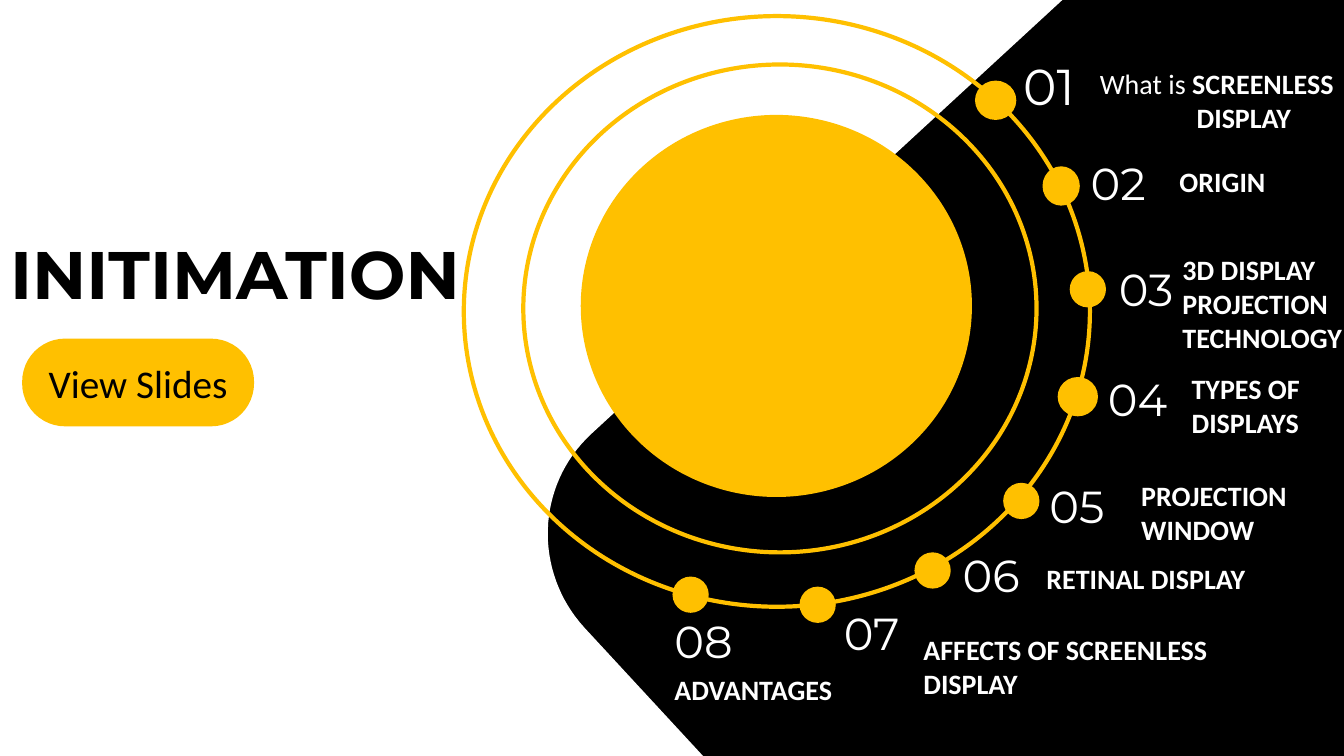
from pptx import Presentation
from pptx.dml.color import RGBColor
from pptx.enum.shapes import MSO_SHAPE
from pptx.enum.text import MSO_ANCHOR, MSO_AUTO_SIZE, PP_ALIGN
from pptx.util import Inches, Pt

COLORS = {"black": "000000", "white": "FFFFFF", "gold": "FFC000"}
BODY_FONT = "Calibri"
DISPLAY_FONT = "Montserrat"

# Discs and rings: left, top, width, height
DISC = (5.76, 1.14, 3.88, 3.79)
RINGS = [(5.19, 0.64, 5.09, 4.84), (4.6, 0.16, 6.21, 5.86)]

# Agenda: dot box, number box, label box, label lines
AGENDA = [
    ((9.67, 0.8, 0.41, 0.39), (10.05, 0.5, 1.39, 0.71),
     (10.81, 0.61, 2.69, 0.77), ["What is |SCREENLESS", "DISPLAY"]),
    ((10.34, 1.65, 0.37, 0.39), (10.72, 1.5, 1.56, 0.64),
     (11.6, 1.58, 2.54, 0.44), ["ORIGIN"]),
    ((10.61, 2.69, 0.36, 0.36), (11, 2.55, 1.87, 0.64),
     (11.63, 2.46, 1.9, 1.11), ["3D DISPLAY", "PROJECTION", "TECHNOLOGY"]),
    ((10.49, 3.74, 0.4, 0.39), (10.89, 3.64, 1.86, 0.64),
     (11.72, 3.64, 1.88, 0.77), ["TYPES OF", "DISPLAYS"]),
    ((9.95, 4.79, 0.36, 0.36), (10.31, 4.7, 1.88, 0.64),
     (11.22, 4.7, 1.88, 0.77), ["PROJECTION WINDOW"]),
    ((9.07, 5.48, 0.36, 0.36), (9.45, 5.38, 1.88, 0.64),
     (10.28, 5.52, 2.54, 0.44), ["RETINAL DISPLAY"]),
    ((7.93, 5.82, 0.36, 0.36), (8.27, 5.96, 1.88, 0.64),
     (9.06, 6.23, 3.33, 0.77), ["AFFECTS OF SCREENLESS DISPLAY"]),
    ((6.67, 5.72, 0.36, 0.36), (6.59, 6.04, 1.88, 0.64),
     (6.59, 6.62, 1.88, 0.44), ["ADVANTAGES"]),
]


def color(name):
    return RGBColor.from_string(COLORS[name])


def inches(values):
    return [Inches(value) for value in values]


def add_span(para, text, size, font, shade, bold=False):
    span = para.add_run()
    span.text = text
    span.font.size = Pt(size)
    span.font.name = font
    span.font.bold = bold
    span.font.color.rgb = color(shade)


def paint(shape, fill=None, line=None, width=1):
    shape.shadow.inherit = False
    if fill:
        shape.fill.solid()
        shape.fill.fore_color.rgb = color(fill)
    else:
        shape.fill.background()
    if line:
        shape.line.color.rgb = color(line)
        shape.line.width = Pt(width)
    else:
        shape.line.fill.background()


def add_oval(page, bounds, **style):
    oval = page.shapes.add_shape(MSO_SHAPE.OVAL, *inches(bounds))
    paint(oval, **style)


def add_text_frame(page, bounds):
    frame = page.shapes.add_textbox(*inches(bounds)).text_frame
    frame.word_wrap = True
    frame.auto_size = MSO_AUTO_SIZE.SHAPE_TO_FIT_TEXT
    return frame


def add_number(page, bounds, number):
    para = add_text_frame(page, bounds).paragraphs[0]
    add_span(para, f"{number:02d}", 36 if number == 1 else 32, DISPLAY_FONT, "white")


def add_label(page, bounds, lines):
    """Text before a bar is regular; the line under it is indented."""
    frame = add_text_frame(page, bounds)
    for index, line in enumerate(lines):
        para = frame.add_paragraph() if index else frame.paragraphs[0]
        regular, bar, bold = line.rpartition("|")
        if bar:
            add_span(para, regular, 20, BODY_FONT, "white")
        elif "|" in lines[0]:
            para._p.get_or_add_pPr().set("marL", str(Inches(0.96)))
        add_span(para, bold, 20, BODY_FONT, "white", True)


def curve_points(start, control_a, control_b, end, steps=32):
    """Sample a cubic curve, leaving out its start."""
    for step in range(1, steps + 1):
        t = step / steps
        weights = ((1 - t) ** 3, 3 * t * (1 - t) ** 2, 3 * t ** 2 * (1 - t), t ** 3)
        yield tuple(sum(weight * point[axis] for weight, point in
                        zip(weights, (start, control_a, control_b, end)))
                    for axis in (0, 1))


def add_black_panel(page):
    corner = (5.79, 6.23)
    points = [(13.35, -0.03), (13.41, 7.57), (7.01, 7.55), corner]
    points += curve_points(corner, (5.28, 5.67), (5.31, 4.81), (5.86, 4.3))
    builder = page.shapes.build_freeform(Inches(10.57), Inches(-0.04))
    builder.add_line_segments([inches(point) for point in points], close=True)
    paint(builder.convert_to_shape(), fill="black", line="white")


def add_button(page):
    button = page.shapes.add_shape(
        MSO_SHAPE.ROUNDED_RECTANGLE, *inches((0.22, 3.36, 2.3, 0.87)))
    button.adjustments[0] = 0.49
    paint(button, fill="gold")
    button.text_frame.vertical_anchor = MSO_ANCHOR.MIDDLE
    para = button.text_frame.paragraphs[0]
    para.alignment = PP_ALIGN.CENTER
    add_span(para, "View Slides", 28, BODY_FONT, "black")


def set_title(page):
    title = page.shapes.title
    title.left, title.top, title.width, title.height = inches((0, 1.96, 7.61, 1.6))
    title.text_frame.vertical_anchor = MSO_ANCHOR.MIDDLE
    para = title.text_frame.paragraphs[0]
    para.alignment = PP_ALIGN.LEFT
    para.line_spacing = 0.9
    add_span(para, "INITIMATION", 48, DISPLAY_FONT, "black", True)


def main():
    deck = Presentation()
    deck.slide_width, deck.slide_height = inches((13.33, 7.5))
    page = deck.slides.add_slide(deck.slide_layouts.get_by_name("Title Only"))

    # Background panel, title and button
    add_black_panel(page)
    set_title(page)
    add_button(page)

    # Central disc and its rings
    add_oval(page, DISC, fill="gold")
    for ring in RINGS:
        add_oval(page, ring, line="gold", width=3)

    # Numbered agenda around the outer ring
    for number, (dot, number_box, label_box, lines) in enumerate(AGENDA, 1):
        add_oval(page, dot, fill="gold")
        add_number(page, number_box, number)
        add_label(page, label_box, lines)

    deck.save("out.pptx")


if __name__ == "__main__":
    main()
